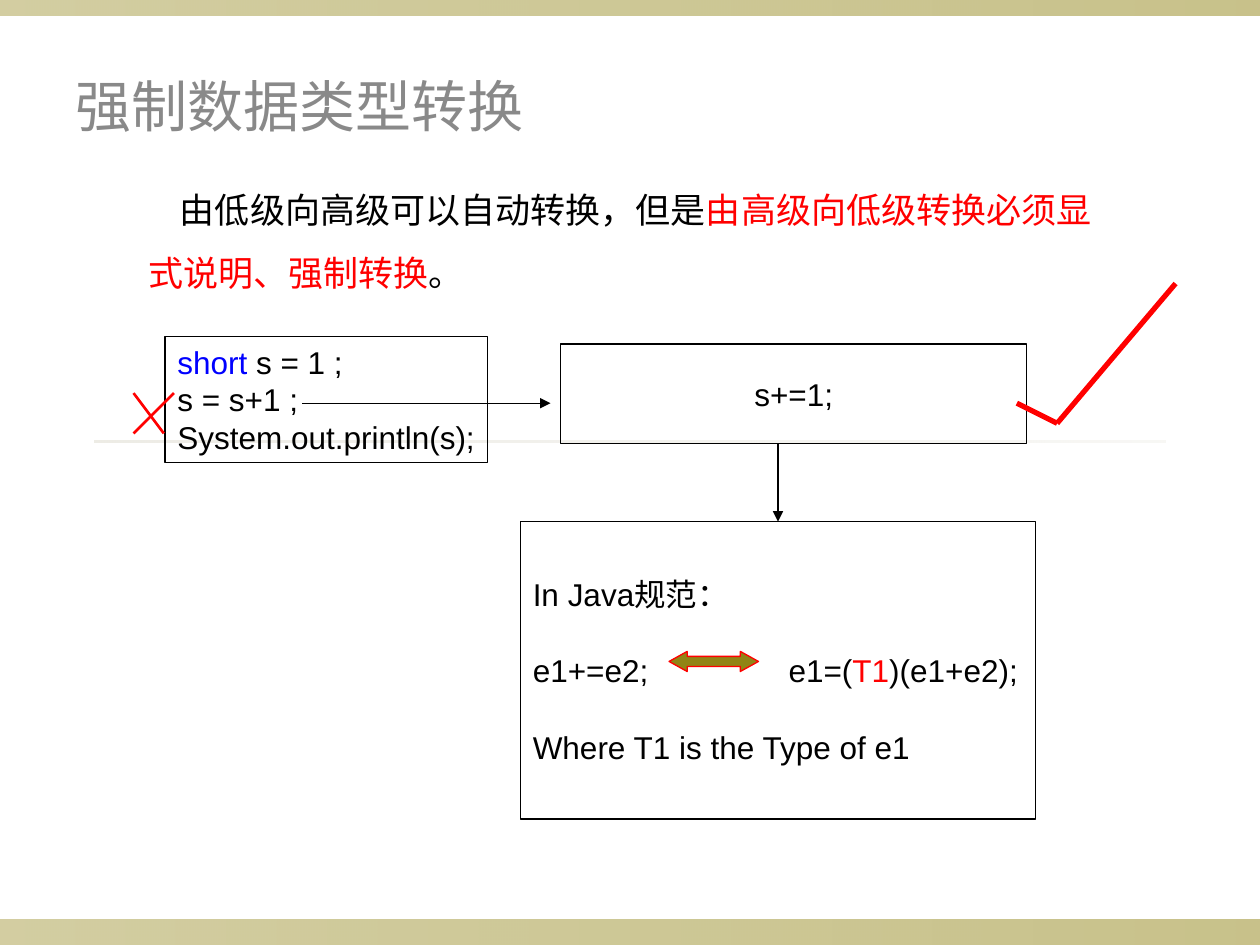
from dataclasses import dataclass

import lxml.etree
import pptx
import pptx.dml.color
import pptx.enum.shapes
import pptx.enum.text
import pptx.oxml.ns
import pptx.util

SHAPES = pptx.enum.shapes.MSO_SHAPE
ALIGN = pptx.enum.text.PP_ALIGN
ANCHOR = pptx.enum.text.MSO_ANCHOR
qn = pptx.oxml.ns.qn

# Grid: 100 columns by 75 rows of square cells
COLUMNS, ROWS = 100, 75
CELL = pptx.util.Inches(0.1)


@dataclass(frozen=True)
class Theme:
    black: str = "000000"
    red: str = "FF0000"
    keyword: str = "0000FF"
    title: str = "898989"
    olive: str = "918415"
    rule: str = "DCD9CC"
    title_size: int = 32
    body_size: int = 20
    code_size: int = 18
    title_font: str = "Cabin"
    body_font: str = "DejaVu Sans"
    code_font: str = "Arial"
    thin: float = 0.75
    cross: float = 1.5
    check: float = 3


THEME = Theme()


@dataclass(frozen=True)
class Area:
    column: float
    row: float
    columns: float
    rows: float


@dataclass(frozen=True)
class Band:
    area: Area
    color: str
    start_opacity: int
    end_opacity: int


@dataclass(frozen=True)
class Line:
    start: tuple[float, float]
    end: tuple[float, float]
    color: str
    width: float
    arrow: bool = False


@dataclass(frozen=True)
class TextBlock:
    area: Area
    # Each paragraph is a list of (text, color) runs
    paragraphs: list
    font: str = THEME.code_font
    size: int = THEME.code_size
    outlined: bool = True
    wrap: bool = True
    anchor: ANCHOR = ANCHOR.TOP
    align: ALIGN = ALIGN.LEFT
    line_spacing: float = 1.0
    gap: float = 0
    indent: float = 0
    tab: float = 0


BANDS = [
    Band(Area(0, 73, COLUMNS, 2), THEME.olive, 40, 50),
    Band(Area(0, 0, COLUMNS, 1.2), THEME.olive, 40, 50),
    Band(Area(7.5, 34.95, 85, 0.2), THEME.rule, 50, 20),
]

TITLE = TextBlock(Area(5, 5, 70, 6.7), [[("强制数据类型转换", THEME.title)]],
                  THEME.title_font, THEME.title_size, outlined=False, anchor=ANCHOR.MIDDLE)
BODY = TextBlock(
    Area(10.8, 12.8, 79, 11),
    [[("由低级向高级可以自动转换，但是", THEME.black),
      ("由高级向低级转换必须显式说明、强制转换", THEME.red), ("。", THEME.black)]],
    THEME.body_font, THEME.body_size, outlined=False, line_spacing=1.5, indent=2.5)
WRONG_CODE = TextBlock(
    Area(13.1, 26.7, 25.6, 10),
    [[("short", THEME.keyword), (" s = 1 ;", THEME.black)],
     [("s = s+1 ;", THEME.black)],
     [("System.out.println(s);", THEME.black)]], wrap=False)
RIGHT_CODE = TextBlock(Area(44.5, 27.3, 37, 7.9), [[("s+=1;", THEME.black)]],
                       anchor=ANCHOR.MIDDLE, align=ALIGN.CENTER)
RULE_BOX = TextBlock(
    Area(41.3, 41.4, 40.9, 23.6),
    [[("In Java规范：", THEME.black)],
     [("e1+=e2;\te1=(", THEME.black), ("T1", THEME.red), (")(e1+e2);", THEME.black)],
     [("Where T1 is the Type of e1", THEME.black)]],
    anchor=ANCHOR.MIDDLE, gap=22, tab=20.3)

MARKS = [
    # Cross beside the wrong statement
    Line((13.8, 31.2), (10.6, 34.4), THEME.red, THEME.cross),
    Line((10.6, 31.2), (13, 34.4), THEME.red, THEME.cross),
    # Check mark beside the right statement
    Line((80.7, 32), (83.9, 33.6), THEME.red, THEME.check),
    Line((83.9, 33.6), (93.3, 22.5), THEME.red, THEME.check),
    # From the wrong statement to the right one
    Line((24, 32), (43.7, 32), THEME.black, THEME.thin, arrow=True),
]
TO_RULE = Line((61.75, 35.2), (61.75, 41.4), THEME.black, THEME.thin, arrow=True)


def cells(count: float) -> int:
    return round(count * CELL)


def rgb(color: str) -> pptx.dml.color.RGBColor:
    return pptx.dml.color.RGBColor.from_string(color)


def add_shape(slide, kind, area: Area):
    shape = slide.shapes.add_shape(kind, cells(area.column), cells(area.row),
                                   cells(area.columns), cells(area.rows))
    shape.shadow.inherit = False
    return shape


def set_line(shape, color: str, width: float) -> None:
    shape.line.color.rgb = rgb(color)
    shape.line.width = pptx.util.Pt(width)


def draw_band(slide, band: Band) -> None:
    shape = add_shape(slide, SHAPES.RECTANGLE, band.area)
    shape.line.fill.background()
    shape.fill.gradient()
    shape.fill.gradient_angle = 0
    for stop, opacity in zip(shape.fill.gradient_stops, (band.start_opacity, band.end_opacity)):
        stop.color.rgb = rgb(band.color)
    colors = shape.element.spPr.iter(qn("a:srgbClr"))
    for color, opacity in zip(colors, (band.start_opacity, band.end_opacity)):
        lxml.etree.SubElement(color, qn("a:alpha"), val=str(opacity * 1000))


def draw_text(slide, block: TextBlock):
    if block.outlined:
        shape = add_shape(slide, SHAPES.RECTANGLE, block.area)
        shape.fill.background()
        set_line(shape, THEME.black, THEME.thin)
    else:
        area = block.area
        shape = slide.shapes.add_textbox(cells(area.column), cells(area.row),
                                         cells(area.columns), cells(area.rows))
    frame = shape.text_frame
    frame.text = "\n".join("".join(text for text, _ in runs) for runs in block.paragraphs)
    frame.word_wrap = block.wrap
    frame.vertical_anchor = block.anchor
    for index, (paragraph, runs) in enumerate(zip(frame.paragraphs, block.paragraphs)):
        paragraph.alignment = block.align
        paragraph.line_spacing = block.line_spacing
        if index and block.gap:
            paragraph.space_before = pptx.util.Pt(block.gap)
        properties = paragraph._p.get_or_add_pPr()
        if block.indent:
            properties.set("indent", str(cells(block.indent)))
        if block.tab:
            tabs = lxml.etree.SubElement(properties, qn("a:tabLst"))
            lxml.etree.SubElement(tabs, qn("a:tab"), pos=str(cells(block.tab)), algn="l")
        paragraph.text = ""
        for text, color in runs:
            run = paragraph.add_run()
            run.text = text
            run.font.name = block.font
            run.font.size = pptx.util.Pt(block.size)
            run.font.color.rgb = rgb(color)
    return shape


def draw_line(slide, line: Line):
    connector = slide.shapes.add_connector(
        pptx.enum.shapes.MSO_CONNECTOR.STRAIGHT, *map(cells, line.start + line.end))
    set_line(connector, line.color, line.width)
    if line.arrow:
        lxml.etree.SubElement(connector.line._get_or_add_ln(), qn("a:tailEnd"), type="triangle")
    lxml.etree.SubElement(connector.element.spPr, qn("a:effectLst"))
    return connector


def main() -> None:
    presentation = pptx.Presentation()
    presentation.slide_width, presentation.slide_height = cells(COLUMNS), cells(ROWS)
    slide = presentation.slides.add_slide(presentation.slide_layouts[6])

    for band in BANDS:
        draw_band(slide, band)
    for block in (TITLE, BODY, WRONG_CODE, RIGHT_CODE):
        draw_text(slide, block)
    for mark in MARKS:
        draw_line(slide, mark)

    # Language rule, reached from the right statement
    rule_box = draw_text(slide, RULE_BOX)
    draw_line(slide, TO_RULE).end_connect(rule_box, 0)
    equivalence = add_shape(slide, SHAPES.LEFT_RIGHT_ARROW, Area(53.1, 51.7, 7.1, 1.6))
    equivalence.adjustments[0], equivalence.adjustments[1] = 0.5, 0.9
    equivalence.fill.solid()
    equivalence.fill.fore_color.rgb = rgb(THEME.olive)
    set_line(equivalence, THEME.red, THEME.thin)

    presentation.save("out.pptx")


if __name__ == "__main__":
    main()
